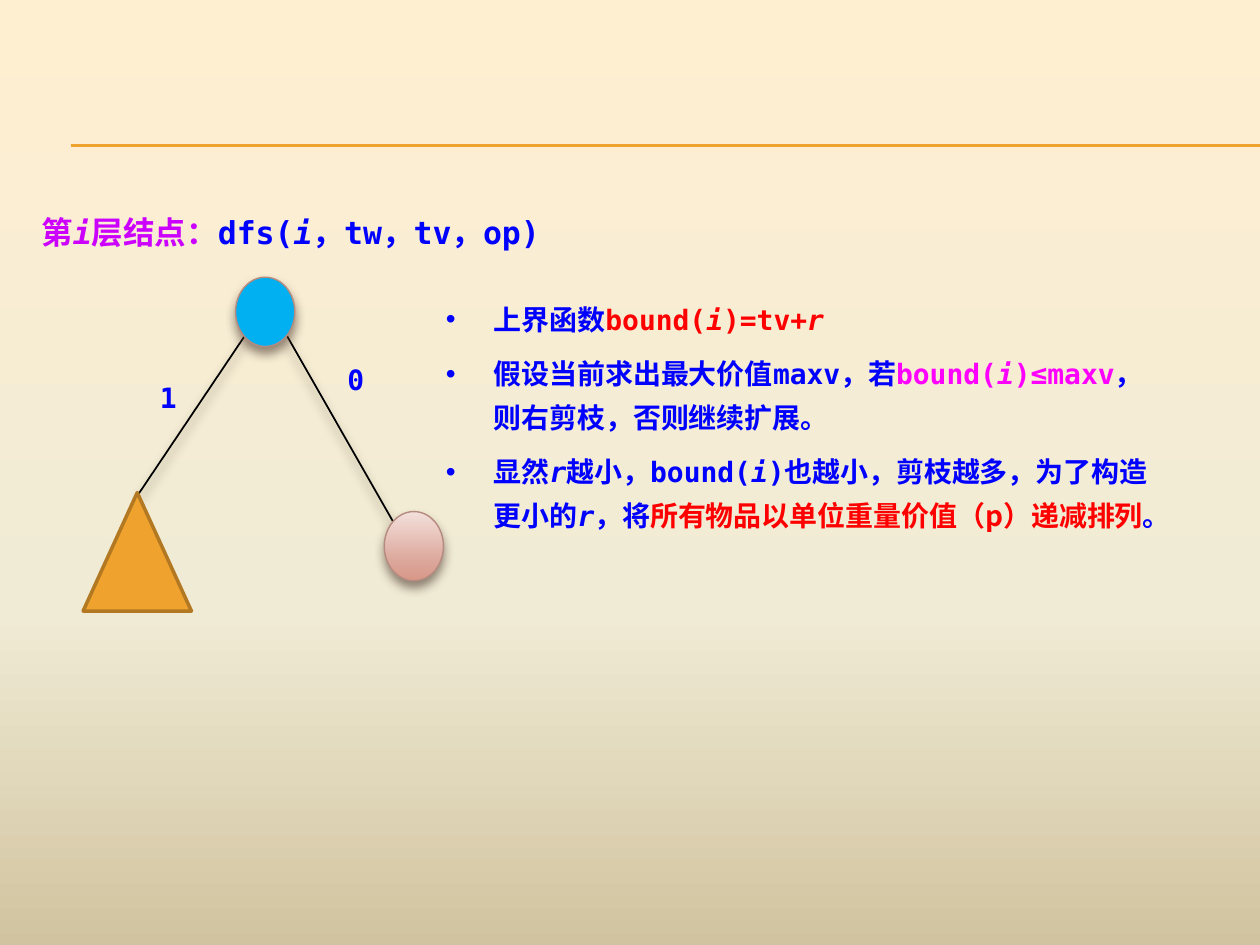
from dataclasses import dataclass

from lxml.etree import SubElement
from pptx import Presentation
from pptx.dml.color import RGBColor
from pptx.enum.shapes import MSO_CONNECTOR, MSO_SHAPE
from pptx.oxml.ns import qn
from pptx.util import Inches, Pt


@dataclass(frozen=True)
class Theme:
    latin: str = "DejaVu Sans Mono"
    chinese: str = "Noto Sans CJK SC"
    blue: str = "0000FF"
    red: str = "FF0000"
    violet: str = "CC00FF"
    magenta: str = "FF00FF"
    black: str = "000000"
    orange: str = "F0A22E"
    brown: str = "B27822"
    root: str = "00B0F0"
    outline: str = "B58B80"
    shadow: str = "4E3B30"
    background: tuple = ((0, "FFEFD1"), (65, "F0EBD5"), (100, "D1C39F"))
    leaf: tuple = ((0, "F3E0DB"), (72, "DCA79B"), (100, "D89787"))
    heading_size: int = 18
    body_size: int = 16


THEME = Theme()


@dataclass(frozen=True)
class Span:
    text: str
    color: str = THEME.blue
    italic: bool = False
    font: str = THEME.latin


@dataclass(frozen=True)
class Node:
    kind: MSO_SHAPE
    place: tuple
    fill: str | tuple
    line: str
    weight: float
    shadow: bool = True


@dataclass(frozen=True)
class Line:
    start: tuple
    end: tuple
    color: str
    weight: float
    shadow: bool = False


@dataclass(frozen=True)
class Label:
    place: tuple
    paragraphs: tuple
    size: int = THEME.body_size
    bullets: bool = False


def rgb(color: str) -> RGBColor:
    return RGBColor.from_string(color)


def fill_gradient(fill, element, stops: tuple) -> None:
    """Fill from top to bottom with any number of stops."""
    fill.gradient()
    fill.gradient_angle = 270
    stop_list = element.find(".//" + qn("a:gsLst"))
    for old in list(stop_list):
        stop_list.remove(old)
    for position, color in stops:
        stop = SubElement(stop_list, qn("a:gs"), pos=str(position * 1000))
        SubElement(stop, qn("a:srgbClr"), val=color)


def set_shadow(element, visible: bool) -> None:
    """Replace the inherited effect; call after fill and line are set."""
    effects = SubElement(element.spPr, qn("a:effectLst"))
    if visible:
        outer = SubElement(effects, qn("a:outerShdw"), blurRad=str(Pt(6)),
                           dist=str(Pt(4)), dir="5400000", rotWithShape="0")
        color = SubElement(outer, qn("a:srgbClr"), val=THEME.shadow)
        SubElement(color, qn("a:alpha"), val="60000")


def draw_line(slide, line: Line) -> None:
    ends = [Inches(value) for value in line.start + line.end]
    connector = slide.shapes.add_connector(MSO_CONNECTOR.STRAIGHT, *ends)
    connector.line.color.rgb = rgb(line.color)
    connector.line.width = Pt(line.weight)
    set_shadow(connector.element, line.shadow)


def draw_node(slide, node: Node) -> None:
    shape = slide.shapes.add_shape(node.kind, *map(Inches, node.place))
    if isinstance(node.fill, tuple):
        fill_gradient(shape.fill, shape.element, node.fill)
    else:
        shape.fill.solid()
        shape.fill.fore_color.rgb = rgb(node.fill)
    shape.line.color.rgb = rgb(node.line)
    shape.line.width = Pt(node.weight)
    set_shadow(shape.element, node.shadow)


def add_span(para, span: Span, size: int) -> None:
    run = para.add_run()
    run.text = span.text
    font = run.font
    font.name, font.size = span.font, Pt(size)
    font.bold, font.italic = True, span.italic
    font.color.rgb = rgb(span.color)
    SubElement(run.font._element, qn("a:ea"), typeface=THEME.chinese)


def draw_label(slide, label: Label) -> None:
    box = slide.shapes.add_textbox(*map(Inches, label.place))
    frame = box.text_frame
    frame.word_wrap = True
    for index, spans in enumerate(label.paragraphs):
        para = frame.add_paragraph() if index else frame.paragraphs[0]
        if label.bullets:
            para.line_spacing = Pt(25)
            para.space_before = Pt(6 if index else 0)
            properties = para._p.get_or_add_pPr()
            properties.set("marL", str(Inches(0.38)))
            properties.set("indent", str(Inches(-0.38)))
            SubElement(properties, qn("a:buFont"), typeface="Arial")
            SubElement(properties, qn("a:buChar"), char="•")
        for span in spans:
            add_span(para, span, label.size)


# Header rule and tree edges
RULES = [Line((0.56, y), (10, y), THEME.orange, 0.75) for y in (1.15, 1.16)]
EDGES = [
    Line((1.94, 2.67), (1.1, 3.92), THEME.black, 1, shadow=True),
    Line((2.28, 2.67), (3.12, 4.14), THEME.black, 1, shadow=True),
]

# Root, right child and left subtree
NODES = [
    Node(MSO_SHAPE.OVAL, (1.87, 2.2, 0.47, 0.55), THEME.root, THEME.outline, 0.79),
    Node(MSO_SHAPE.OVAL, (3.05, 4.06, 0.47, 0.55), THEME.leaf, THEME.outline, 0.79),
    Node(MSO_SHAPE.ISOSCELES_TRIANGLE, (0.66, 3.91, 0.86, 0.94),
         THEME.orange, THEME.brown, 2, shadow=False),
]

# Heading, edge labels and explanation
HEADING = (
    Span("第", THEME.violet), Span("i", THEME.violet, True),
    Span("层结点：", THEME.violet),
    Span("dfs("), Span("i", italic=True), Span("，tw，tv，op)"),
)
EXPLANATION = (
    (Span("上界函数"), Span("bound(", THEME.red), Span("i", THEME.red, True),
     Span(")=tv+", THEME.red), Span("r", THEME.red, True)),
    (Span("假设当前求出最大价值maxv，若"), Span("bound(", THEME.magenta),
     Span("i", THEME.magenta, True), Span(")≤maxv", THEME.magenta),
     Span("，则右剪枝，否则继续扩展。")),
    (Span("显然"), Span("r", italic=True), Span("越小，bound("),
     Span("i", italic=True), Span(")也越小，剪枝越多，为了构造更小的"),
     Span("r", italic=True), Span("，将"),
     Span("所有物品以单位重量价值（p）递减排列", THEME.red, font=THEME.chinese),
     Span("。")),
)
LABELS = [
    Label((0.23, 1.64, 4.38, 0.4), (HEADING,), THEME.heading_size),
    Label((1.17, 2.97, 0.39, 0.37), ((Span("1"),),)),
    Label((2.66, 2.83, 0.47, 0.37), ((Span("0"),),)),
    Label((3.44, 2.27, 5.78, 2.02), EXPLANATION, bullets=True),
]


def main() -> None:
    deck = Presentation()
    deck.slide_width, deck.slide_height = Inches(10), Inches(7.5)
    slide = deck.slides.add_slide(deck.slide_layouts[6])
    fill_gradient(slide.background.fill, slide.element, THEME.background)
    for line in RULES + EDGES:
        draw_line(slide, line)
    for node in NODES:
        draw_node(slide, node)
    for label in LABELS:
        draw_label(slide, label)
    deck.save("out.pptx")


if __name__ == "__main__":
    main()
